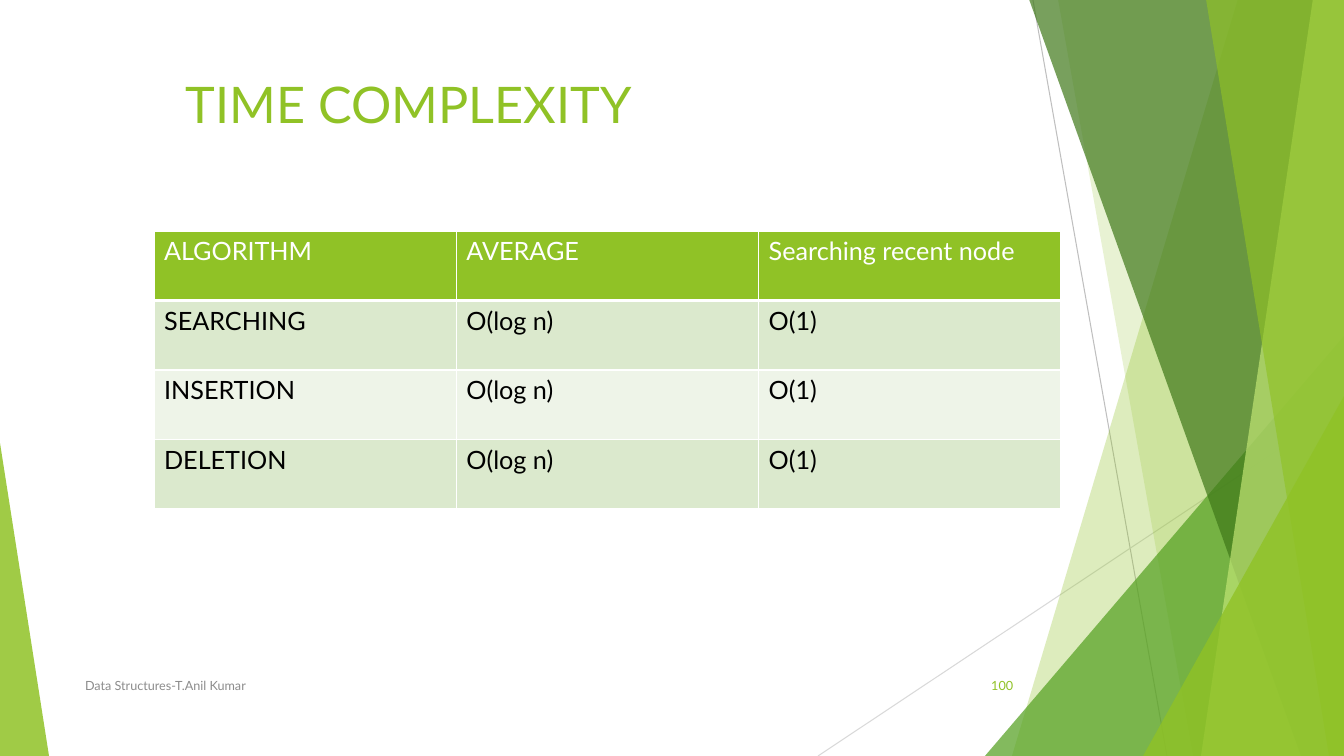
from dataclasses import dataclass

from lxml import etree
from pptx import Presentation
from pptx import util as u
from pptx.dml.color import RGBColor
from pptx.enum import shapes, text
from pptx.oxml import ns

EMU_PER_PX = 914400 / 100.8
SLIDE_W, SLIDE_H = 1344, 756
TOP = -1


@dataclass(frozen=True)
class Theme:
    font: str = "Lato"
    lime: str = "90C226"
    green: str = "54A021"
    forest: str = "3F7819"
    pale_lime: str = "C0E474"
    band_dark: str = "DBE9CD"
    band_light: str = "EEF4E8"
    white: str = "FFFFFF"
    black: str = "000000"
    grey: str = "8C8C8C"
    steep_line: str = "BFBFBF"
    flat_line: str = "D9D9D9"
    title_size: int = 36
    table_size: int = 18
    footer_size: int = 9


THEME = Theme()


def px(length):
    return u.Emu(round(length * EMU_PER_PX))


def rgb(color):
    return RGBColor.from_string(color)


def add_run(paragraph, words, size, color):
    run = paragraph.add_run()
    run.text = words
    run.font.name = THEME.font
    run.font.size = u.Pt(size)
    run.font.bold = False
    run.font.color.rgb = rgb(color)


def add_label(slide, box, words, size, color, anchor,
              align=text.PP_ALIGN.LEFT, inset=10):
    label = slide.shapes.add_textbox(*map(px, box))
    frame = label.text_frame
    frame.word_wrap = True
    frame.vertical_anchor = anchor
    frame.margin_left = px(inset)
    paragraph = frame.paragraphs[0]
    paragraph.alignment = align
    add_run(paragraph, words, size, color)


def add_hairline(slide, start, end, color):
    hairline = slide.shapes.add_connector(
        shapes.MSO_CONNECTOR.STRAIGHT, *map(px, start + end))
    hairline.line.color.rgb = rgb(color)
    hairline.line.width = u.Pt(0.75)
    etree.SubElement(hairline._element.spPr, ns.qn("a:effectLst"))


def paint(facet, color, opacity):
    facet.shadow.inherit = False
    facet.fill.solid()
    facet.fill.fore_color.rgb = rgb(color)
    facet.line.fill.background()
    tint = facet._element.spPr.find(ns.qn("a:solidFill"))[0]
    etree.SubElement(tint, ns.qn("a:alpha"), val=str(opacity * 1000))


def add_shard(slide, top_x, bottom_x, color, opacity):
    outline = slide.shapes.build_freeform(top_x, TOP, scale=EMU_PER_PX)
    outline.add_line_segments(
        [(SLIDE_W, TOP), (SLIDE_W, SLIDE_H), (bottom_x, SLIDE_H)], close=True)
    paint(outline.convert_to_shape(), color, opacity)


def add_corner(slide, left, top, width, apex, color, opacity):
    corner = slide.shapes.add_shape(
        shapes.MSO_SHAPE.ISOSCELES_TRIANGLE,
        *map(px, (left, top, width, SLIDE_H - top)))
    corner.adjustments[0] = apex
    paint(corner, color, opacity)


def add_border(cell, side, points):
    edge = etree.SubElement(
        cell._tc.get_or_add_tcPr(), ns.qn("a:ln" + side), w=str(u.Pt(points)))
    fill = etree.SubElement(edge, ns.qn("a:solidFill"))
    etree.SubElement(fill, ns.qn("a:srgbClr"), val=THEME.white)


def add_grid(slide, box, rows):
    grid = slide.shapes.add_table(
        len(rows), len(rows[0]), *map(px, box)).table
    for row_index, row in enumerate(rows):
        is_header = row_index == 0
        band = THEME.band_dark if row_index % 2 else THEME.band_light
        for column_index, words in enumerate(row):
            cell = grid.cell(row_index, column_index)
            for side in "LRTB":
                add_border(cell, side, 3 if is_header and side == "B" else 1)
            cell.fill.solid()
            cell.fill.fore_color.rgb = rgb(THEME.lime if is_header else band)
            add_run(cell.text_frame.paragraphs[0], words, THEME.table_size,
                    THEME.white if is_header else THEME.black)


def add_backdrop(slide):
    add_hairline(slide, (1033, 0), (1167, SLIDE_H), THEME.steep_line)
    add_hairline(slide, (SLIDE_W, 406), (818, SLIDE_H), THEME.flat_line)
    add_shard(slide, 1238, 1012, THEME.lime, 30)
    add_shard(slide, 1058, 1193, THEME.lime, 20)
    add_corner(slide, 985, 336, 359, 1, THEME.green, 72)
    add_shard(slide, 1029, 1301, THEME.forest, 70)
    add_shard(slide, 1313, 1201, THEME.pale_lime, 70)
    add_shard(slide, 1206, 1329, THEME.lime, 65)
    add_corner(slide, 1143, 396, 201, 1, THEME.lime, 80)
    add_corner(slide, 0, 443, 49, 0, THEME.lime, 85)


def main():
    deck = Presentation()
    deck.slide_width, deck.slide_height = px(SLIDE_W), px(SLIDE_H)
    slide = deck.slides.add_slide(deck.slide_layouts[6])
    add_backdrop(slide)
    add_label(slide, (75, 68, 948, 145), "TIME COMPLEXITY", THEME.title_size,
              THEME.lime, text.MSO_ANCHOR.TOP, inset=111)
    operations = ("SEARCHING", "INSERTION", "DELETION")
    header = ("ALGORITHM", "AVERAGE", "Searching recent node")
    add_grid(slide, (154, 231, 907, 278),
             [header] + [(name, "O(log n)", "O(1)") for name in operations])
    add_label(slide, (75, 666, 695, 40), "Data Structures-T.Anil Kumar",
              THEME.footer_size, THEME.grey, text.MSO_ANCHOR.MIDDLE)
    add_label(slide, (947, 666, 76, 40), "100", THEME.footer_size, THEME.lime,
              text.MSO_ANCHOR.MIDDLE, text.PP_ALIGN.RIGHT)
    deck.save("out.pptx")


if __name__ == "__main__":
    main()
